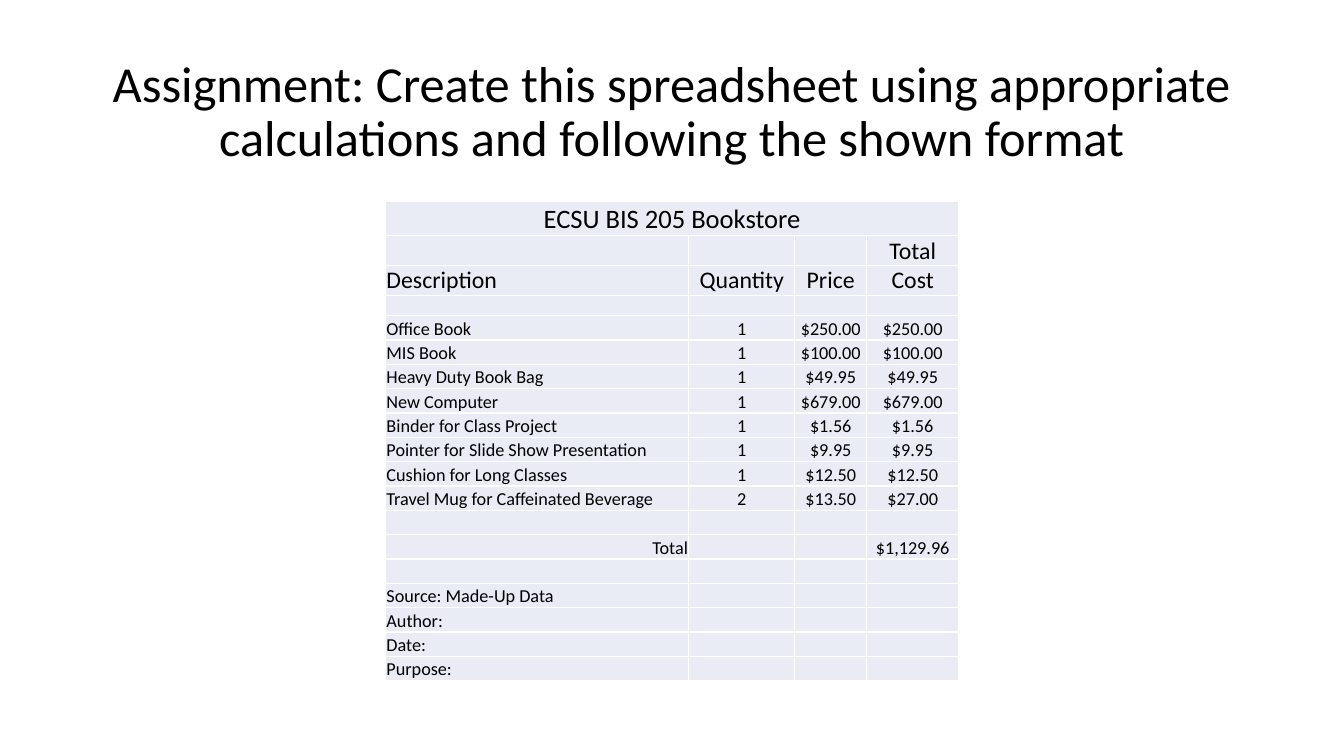
from lxml.etree import SubElement
from pptx import Presentation
from pptx.dml.color import RGBColor
from pptx.enum.text import MSO_ANCHOR, PP_ALIGN
from pptx.oxml.ns import qn
from pptx.util import Pt

BLACK = RGBColor(0x00, 0x00, 0x00)
WHITE = RGBColor(0xFF, 0xFF, 0xFF)
PALE_BLUE = RGBColor(0xE9, 0xEB, 0xF5)
FONT = "Calibri"

TITLE = (
    "Assignment: Create this spreadsheet using appropriate "
    "calculations and following the shown format"
)
COLUMN_WIDTHS = [216.7, 75.6, 51.5, 65.6]
HEADING_HEIGHTS = [24.2, 21.4, 21.4, 14.6]
HEADING_SIZES = [19, 17, 17, 11]
BODY_HEIGHT = 17.4
BODY_SIZE = 13
ITEMS = [
    ("Office Book", 1, 250),
    ("MIS Book", 1, 100),
    ("Heavy Duty Book Bag", 1, 49.95),
    ("New Computer", 1, 679),
    ("Binder for Class Project", 1, 1.56),
    ("Pointer for Slide Show Presentation", 1, 9.95),
    ("Cushion for Long Classes", 1, 12.5),
    ("Travel Mug for Caffeinated Beverage", 2, 13.5),
]
FOOTER_LABELS = ["Source: Made-Up Data", "Author:", "Date:", "Purpose:"]


def dollars(amount):
    return f"${amount:,.2f}"


def bookstore_rows():
    empty = [""] * 4
    items = [
        [name, str(quantity), dollars(price), dollars(quantity * price)]
        for name, quantity, price in ITEMS
    ]
    total = sum(quantity * price for _, quantity, price in ITEMS)
    return [
        ["ECSU BIS 205 Bookstore", "", "", ""],
        ["", "", "", "Total"],
        ["Description", "Quantity", "Price", "Cost"],
        empty,
        *items,
        empty,
        ["Total", "", "", dollars(total)],
        empty,
        *[[label, "", "", ""] for label in FOOTER_LABELS],
    ]


def write_text(paragraph, text, size, alignment):
    paragraph.text = text
    paragraph.alignment = alignment
    for run in paragraph.runs:
        run.font.name = FONT
        run.font.size = Pt(size)
        run.font.color.rgb = BLACK
    if not text:
        SubElement(paragraph._p, qn("a:endParaRPr"), sz=str(size * 100))


def add_title(slide):
    title = slide.shapes.add_textbox(Pt(66), Pt(28.75), Pt(828), Pt(104.4))
    frame = title.text_frame
    frame.word_wrap = True
    frame.vertical_anchor = MSO_ANCHOR.MIDDLE
    write_text(frame.paragraphs[0], TITLE, 36, PP_ALIGN.CENTER)
    frame.paragraphs[0].line_spacing = 0.9


def add_borders(cell):
    properties = cell._tc.get_or_add_tcPr()
    for side in ("a:lnL", "a:lnR", "a:lnT", "a:lnB"):
        line = SubElement(properties, qn(side), w=str(Pt(1)))
        fill = SubElement(line, qn("a:solidFill"))
        SubElement(fill, qn("a:srgbClr"), val=str(WHITE))


def format_cell(cell, text, size, alignment):
    add_borders(cell)
    cell.fill.solid()
    cell.fill.fore_color.rgb = PALE_BLUE
    cell.margin_left = cell.margin_right = cell.margin_top = Pt(0.7)
    cell.margin_bottom = Pt(0)
    cell.vertical_anchor = MSO_ANCHOR.BOTTOM
    write_text(cell.text_frame.paragraphs[0], text, size, alignment)


def cell_alignment(row, column, text):
    if row == 0 or column > 0:
        return PP_ALIGN.CENTER
    return PP_ALIGN.RIGHT if text == "Total" else PP_ALIGN.LEFT


def add_bookstore(slide):
    rows = bookstore_rows()
    body_count = len(rows) - len(HEADING_HEIGHTS)
    heights = HEADING_HEIGHTS + [BODY_HEIGHT] * body_count
    sizes = HEADING_SIZES + [BODY_SIZE] * body_count
    bookstore = slide.shapes.add_table(
        len(rows), len(COLUMN_WIDTHS), Pt(275.4), Pt(144),
        Pt(sum(COLUMN_WIDTHS)), Pt(sum(heights)),
    ).table
    bookstore.first_row = False
    bookstore.horz_banding = False
    for column, width in zip(bookstore.columns, COLUMN_WIDTHS):
        column.width = Pt(width)
    for r, texts in enumerate(rows):
        bookstore.rows[r].height = Pt(heights[r])
        for c, text in enumerate(texts):
            alignment = cell_alignment(r, c, text)
            format_cell(bookstore.cell(r, c), text, sizes[r], alignment)
    bookstore.cell(0, 0).merge(bookstore.cell(0, 3))


def main():
    presentation = Presentation()
    presentation.slide_width = Pt(960)
    presentation.slide_height = Pt(540)
    slide = presentation.slides.add_slide(presentation.slide_layouts[6])
    add_title(slide)
    add_bookstore(slide)
    presentation.save("out.pptx")


if __name__ == "__main__":
    main()
